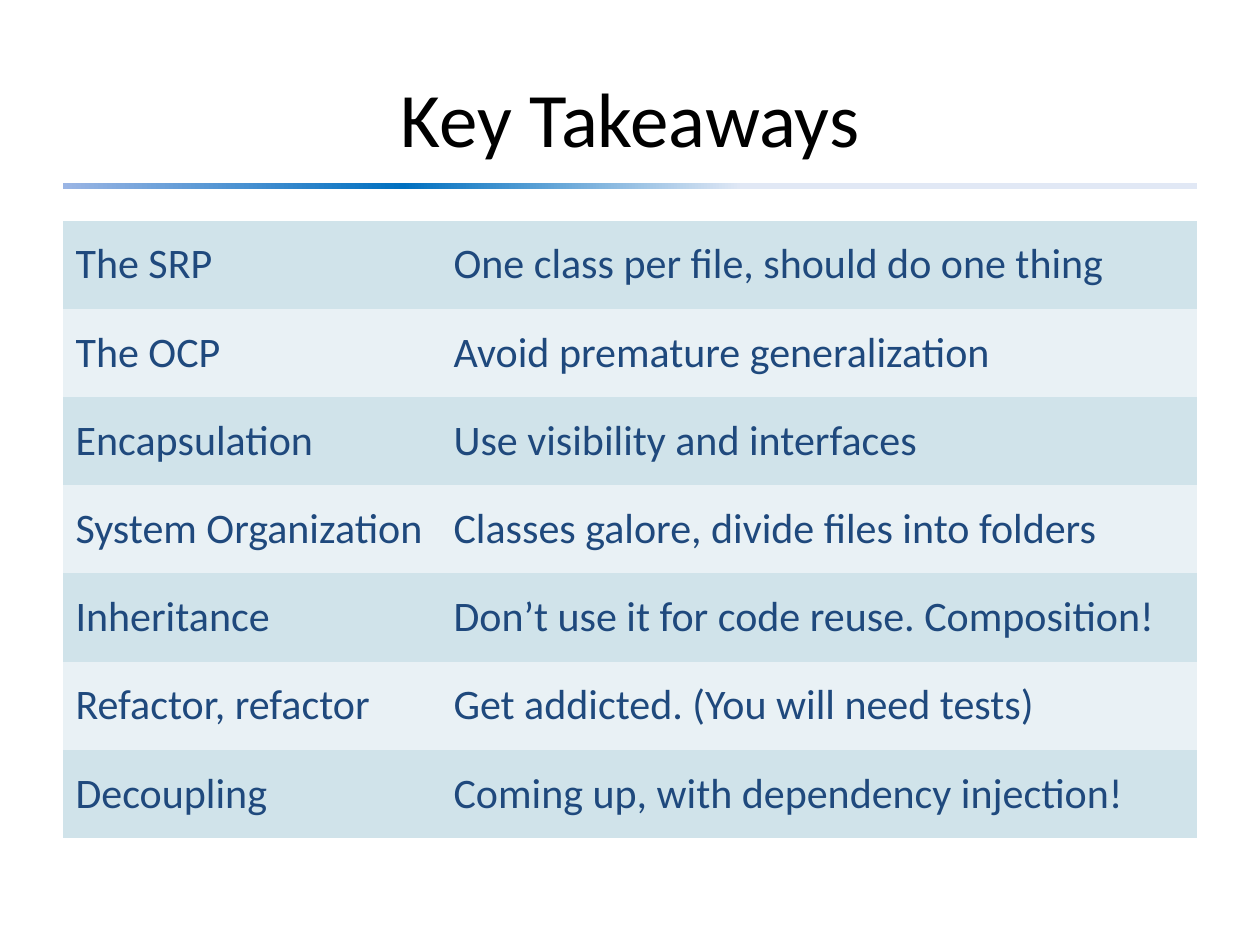
from copy import deepcopy
from dataclasses import dataclass

from pptx import Presentation
from pptx.dml.color import RGBColor
from pptx.enum.shapes import MSO_SHAPE
from pptx.enum.text import MSO_ANCHOR, PP_ALIGN
from pptx.oxml.ns import qn
from pptx.slide import Slide
from pptx.text.text import TextFrame
from pptx.util import Emu, Pt

EMU_PER_PX = 9144
NO_STYLE_TABLE = "{2D5ABB26-0587-4C30-8999-92F81FD0307C}"


@dataclass(frozen=True)
class Theme:
    font: str = "Calibri"
    title_size: int = 44
    cell_size: int = 24
    title: str = "000000"
    text: str = "1F497D"
    bands: tuple[str, ...] = ("D0E3EA", "E9F1F5")
    rule: tuple[tuple[float, str], ...] = ((0, "9AB5E4"), (0.3, "0070C0"), (0.6, "E1E8F5"))


@dataclass(frozen=True)
class Area:
    left: int
    top: int
    width: int
    height: int

    def emu(self) -> tuple[Emu, ...]:
        return tuple(map(px, (self.left, self.top, self.width, self.height)))


@dataclass(frozen=True)
class Takeaway:
    topic: str
    advice: str


THEME = Theme()
TITLE_AREA = Area(50, 30, 900, 125)
RULE_AREA = Area(50, 145, 900, 5)
TABLE_AREA = Area(50, 175, 900, 490)
COLUMN_WIDTHS = (300, 600)
TAKEAWAYS = (
    Takeaway("The SRP", "One class per file, should do one thing"),
    Takeaway("The OCP", "Avoid premature generalization"),
    Takeaway("Encapsulation", "Use visibility and interfaces"),
    Takeaway("System Organization", "Classes galore, divide files into folders"),
    Takeaway("Inheritance", "Don’t use it for code reuse. Composition!"),
    Takeaway("Refactor, refactor", "Get addicted. (You will need tests)"),
    Takeaway("Decoupling", "Coming up, with dependency injection!"),
)


def px(length: int) -> Emu:
    return Emu(length * EMU_PER_PX)


def write(frame: TextFrame, text: str, size: int, color: str, align: PP_ALIGN) -> None:
    para = frame.paragraphs[0]
    para.alignment = align
    span = para.add_run()
    span.text = text
    span.font.name = THEME.font
    span.font.size = Pt(size)
    span.font.color.rgb = RGBColor.from_string(color)


def draw_rule(page: Slide, area: Area) -> None:
    bar = page.shapes.add_shape(MSO_SHAPE.RECTANGLE, *area.emu())
    bar.shadow.inherit = False
    bar.line.fill.background()
    bar.fill.gradient()
    bar.fill.gradient_angle = 0
    stop_list = bar.element.spPr.find(qn("a:gradFill")).find(qn("a:gsLst"))
    stop_list.append(deepcopy(stop_list[-1]))
    for stop, (position, color) in zip(bar.fill.gradient_stops, THEME.rule):
        stop.position = position
        stop.color.rgb = RGBColor.from_string(color)


def draw_title(page: Slide, text: str, area: Area) -> None:
    box = page.shapes.title
    box.left, box.top, box.width, box.height = area.emu()
    box.text_frame.vertical_anchor = MSO_ANCHOR.MIDDLE
    write(box.text_frame, text, THEME.title_size, THEME.title, PP_ALIGN.CENTER)


def draw_takeaways(page: Slide, takeaways: tuple[Takeaway, ...], area: Area) -> None:
    frame = page.shapes.add_table(len(takeaways), len(COLUMN_WIDTHS), *area.emu())
    table = frame.table
    table.first_row = table.horz_banding = False
    frame.element.find(f".//{qn('a:tableStyleId')}").text = NO_STYLE_TABLE
    for column, width in zip(table.columns, COLUMN_WIDTHS):
        column.width = px(width)
    for index, (row, takeaway) in enumerate(zip(table.rows, takeaways)):
        band = THEME.bands[index % len(THEME.bands)]
        for cell, text in zip(row.cells, (takeaway.topic, takeaway.advice)):
            cell.fill.solid()
            cell.fill.fore_color.rgb = RGBColor.from_string(band)
            cell.vertical_anchor = MSO_ANCHOR.MIDDLE
            write(cell.text_frame, text, THEME.cell_size, THEME.text, PP_ALIGN.LEFT)


def main() -> None:
    deck = Presentation()
    deck.slide_width, deck.slide_height = px(1000), px(750)
    page = deck.slides.add_slide(deck.slide_layouts.get_by_name("Title Only"))
    draw_rule(page, RULE_AREA)
    draw_title(page, "Key Takeaways", TITLE_AREA)
    draw_takeaways(page, TAKEAWAYS, TABLE_AREA)
    deck.save("out.pptx")


if __name__ == "__main__":
    main()
